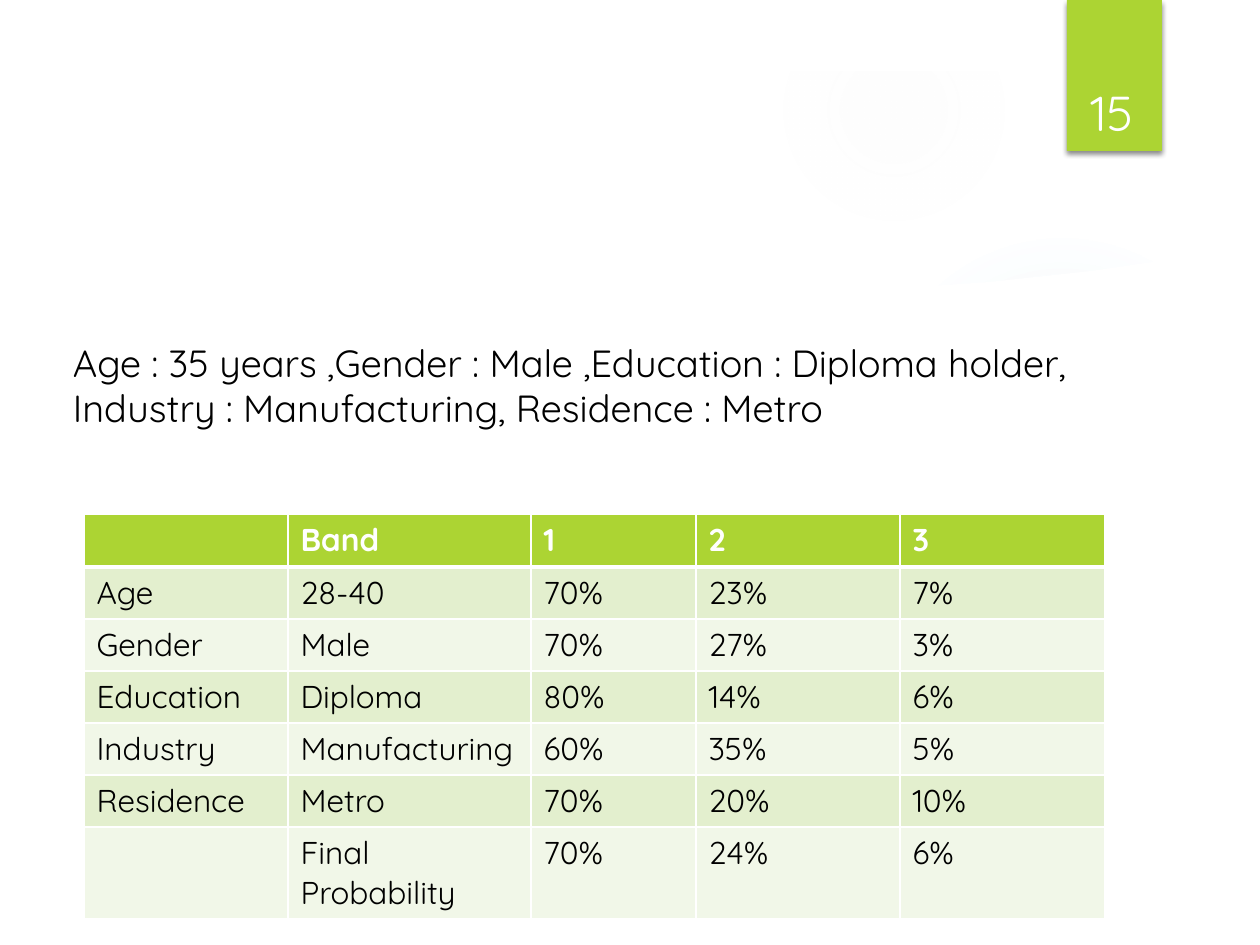
from lxml.etree import SubElement
from pptx import Presentation
from pptx.dml.color import RGBColor
from pptx.enum.shapes import MSO_SHAPE
from pptx.enum.text import MSO_ANCHOR, PP_ALIGN
from pptx.oxml import parse_xml
from pptx.oxml.ns import nsdecls, qn
from pptx.util import Emu, Pt

SCALE = 914400 / 126
FONT = "Quicksand"
GREEN = "ACD433"
WHITE = "FFFFFF"


def px(length):
    return Emu(round(length * SCALE))


def paint(target, color):
    target.fill.solid()
    target.fill.fore_color.rgb = RGBColor.from_string(color)


presentation = Presentation()
presentation.slide_width = px(1260)
presentation.slide_height = px(945)
slide = presentation.slides.add_slide(presentation.slide_layouts[6])
shapes = slide.shapes

glows = [
    (868, 231, 388, "75CEEC", [(0, 7), (36, 6), (69, 0)]),
    (784, 0, 220, "F7F7F7", [(0, 14), (36, 7), (73, 0)]),
]
for left, top, size, color, stops in glows:
    glow = shapes.add_shape(MSO_SHAPE.OVAL, px(left), px(top), px(size), px(size))
    glow.line.fill.background()
    glow.shadow.inherit = False
    paint(glow, color)
    stop_xml = "".join(
        f'<a:gs pos="{place * 1000}"><a:srgbClr val="{color}">'
        f'<a:alpha val="{opacity * 1000}"/></a:srgbClr></a:gs>'
        for place, opacity in stops
    )
    properties = glow._element.spPr
    properties.replace(properties.find(qn("a:solidFill")), parse_xml(
        f'<a:gradFill {nsdecls("a")} rotWithShape="1"><a:gsLst>{stop_xml}</a:gsLst>'
        '<a:path path="circle"><a:fillToRect l="50000" t="50000" r="50000" b="50000"/>'
        '</a:path></a:gradFill>'
    ))

swoosh_points = [(881, 295), (1000, 288), (1100, 277), (1205, 262), (1198, 219),
                 (1093, 250), (985, 273), (877, 289)]
panel_points = [(67, 256), (67, 881), (1193, 881), (1193, 256), (1091, 271), (989, 282),
                (887, 289), (788, 294), (691, 295), (597, 295), (509, 294), (426, 290),
                (349, 285), (280, 280), (166, 268)]
frame_points = [(0, 0), (0, 945), (1260, 945), (1260, 0)]
hole_points = [(1191, 876), (71, 876), (71, 71), (1191, 71)]
outlines = []
for contours in [[swoosh_points], [panel_points], [frame_points, hole_points]]:
    builder = shapes.build_freeform(*contours[0][0], scale=SCALE)
    builder.add_line_segments(contours[0][1:])
    for contour in contours[1:]:
        builder.move_to(*contour[0])
        builder.add_line_segments(contour[1:])
    outlines.append(builder.convert_to_shape())
swoosh, panel, frame = outlines
badge = shapes.add_shape(MSO_SHAPE.RECTANGLE, px(1067), 0, px(95), px(151))
for shape, color in [(swoosh, WHITE), (panel, WHITE), (frame, WHITE), (badge, GREEN)]:
    paint(shape, color)
    shape.line.fill.background()
    shape.shadow.inherit = False
swoosh_color = swoosh._element.spPr.find(qn("a:solidFill")).find(qn("a:srgbClr"))
SubElement(swoosh_color, qn("a:alpha"), val="20000")

effects = badge._element.spPr.find(qn("a:effectLst"))
shadow = SubElement(effects, qn("a:outerShdw"), blurRad=str(Pt(3)),
                    dist=str(Pt(2)), dir="5400000", rotWithShape="0")
shadow_color = SubElement(shadow, qn("a:srgbClr"), val="000000")
SubElement(shadow_color, qn("a:alpha"), val="45000")

title = shapes.add_textbox(px(53), px(315), px(1134), px(173))
title.text_frame.text = (
    "Age : 35 years ,Gender : Male ,Education : Diploma holder,\v"
    "Industry : Manufacturing, Residence : Metro"
)
title.text_frame.margin_left = px(20)
title.text_frame.margin_bottom = px(40)
number = shapes.add_textbox(px(1057), px(41), px(110), px(106))
number.text_frame.text = "15"
for box, size, color, anchor, alignment in [
    (title, 21.6, "000000", MSO_ANCHOR.MIDDLE, PP_ALIGN.LEFT),
    (number, 28, WHITE, MSO_ANCHOR.BOTTOM, PP_ALIGN.CENTER),
]:
    box.text_frame.word_wrap = True
    box.text_frame.vertical_anchor = anchor
    paragraph = box.text_frame.paragraphs[0]
    paragraph.alignment = alignment
    paragraph.font.name = FONT
    paragraph.font.size = Pt(size)
    paragraph.font.color.rgb = RGBColor.from_string(color)

rows = [
    ["", "Band", "1", "2", "3"],
    ["Age", "28-40", "70%", "23%", "7%"],
    ["Gender", "Male", "70%", "27%", "3%"],
    ["Education", "Diploma", "80%", "14%", "6%"],
    ["Industry", "Manufacturing", "60%", "35%", "5%"],
    ["Residence", "Metro", "70%", "20%", "10%"],
    ["", "Final Probability", "70%", "24%", "6%"],
]
column_widths = [204, 243, 165, 204, 205]
row_heights = [53] + [52] * 5 + [92]
table = shapes.add_table(len(rows), len(column_widths), px(84), px(514),
                         px(sum(column_widths)), px(sum(row_heights))).table
for column, width in zip(table.columns, column_widths):
    column.width = px(width)
for row, height in zip(table.rows, row_heights):
    row.height = px(height)

for row_index, values in enumerate(rows):
    header = row_index == 0
    fill = GREEN if header else ("F1F7E8", "E3EFCE")[row_index % 2]
    borders = {"lnL": 1, "lnR": 1, "lnT": 3 if row_index == 1 else 1, "lnB": 3 if header else 1}
    for column_index, value in enumerate(values):
        cell = table.cell(row_index, column_index)
        cell.text = value
        paint(cell, fill)
        font = cell.text_frame.paragraphs[0].font
        font.name = FONT
        font.size = Pt(18)
        font.bold = header
        font.color.rgb = RGBColor.from_string(WHITE if header else "000000")
        properties = cell._tc.get_or_add_tcPr()
        for position, (side, width) in enumerate(borders.items()):
            properties.insert(position, parse_xml(
                f'<a:{side} {nsdecls("a")} w="{Pt(width)}"><a:solidFill>'
                f'<a:srgbClr val="{WHITE}"/></a:solidFill></a:{side}>'
            ))

presentation.save("out.pptx")
